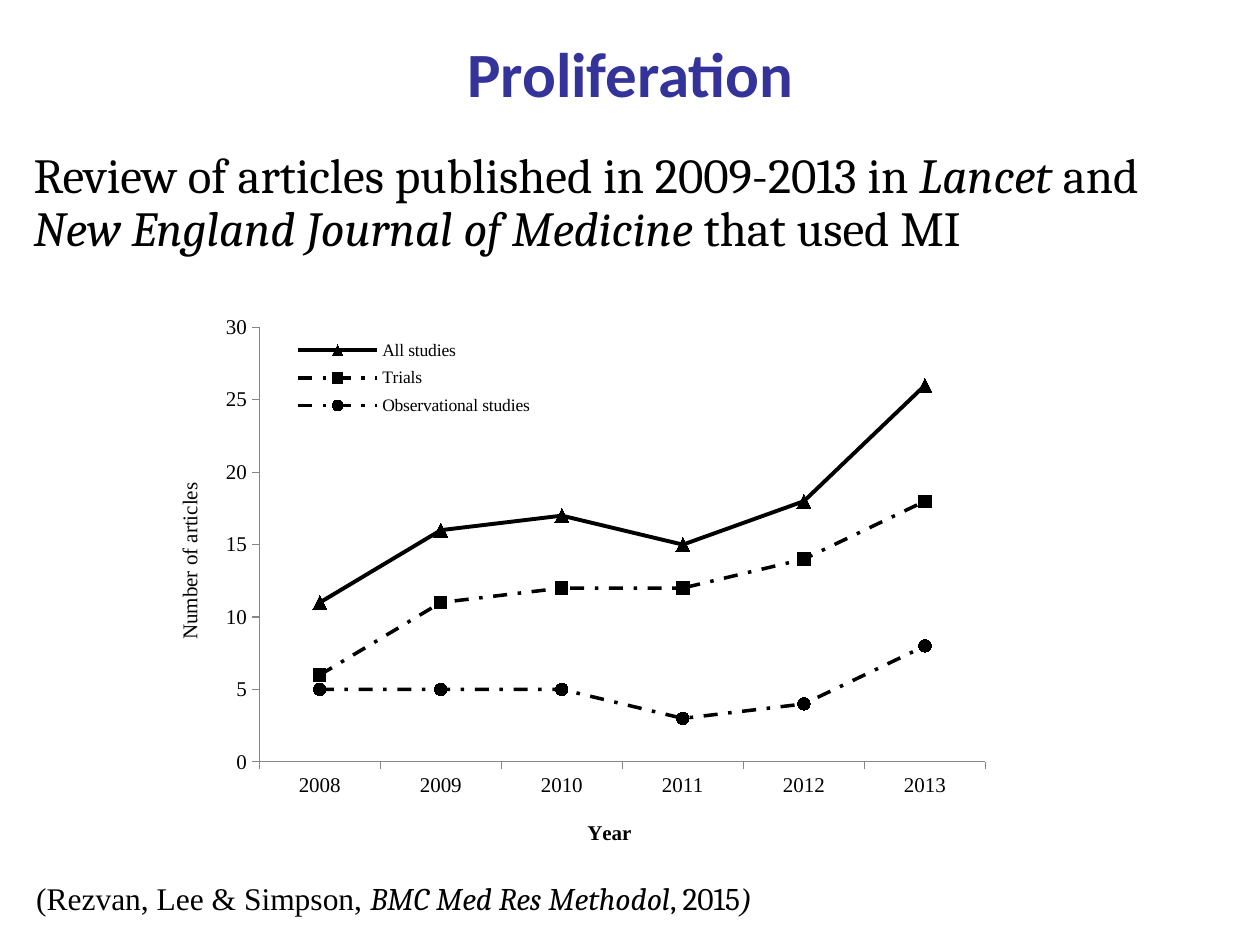
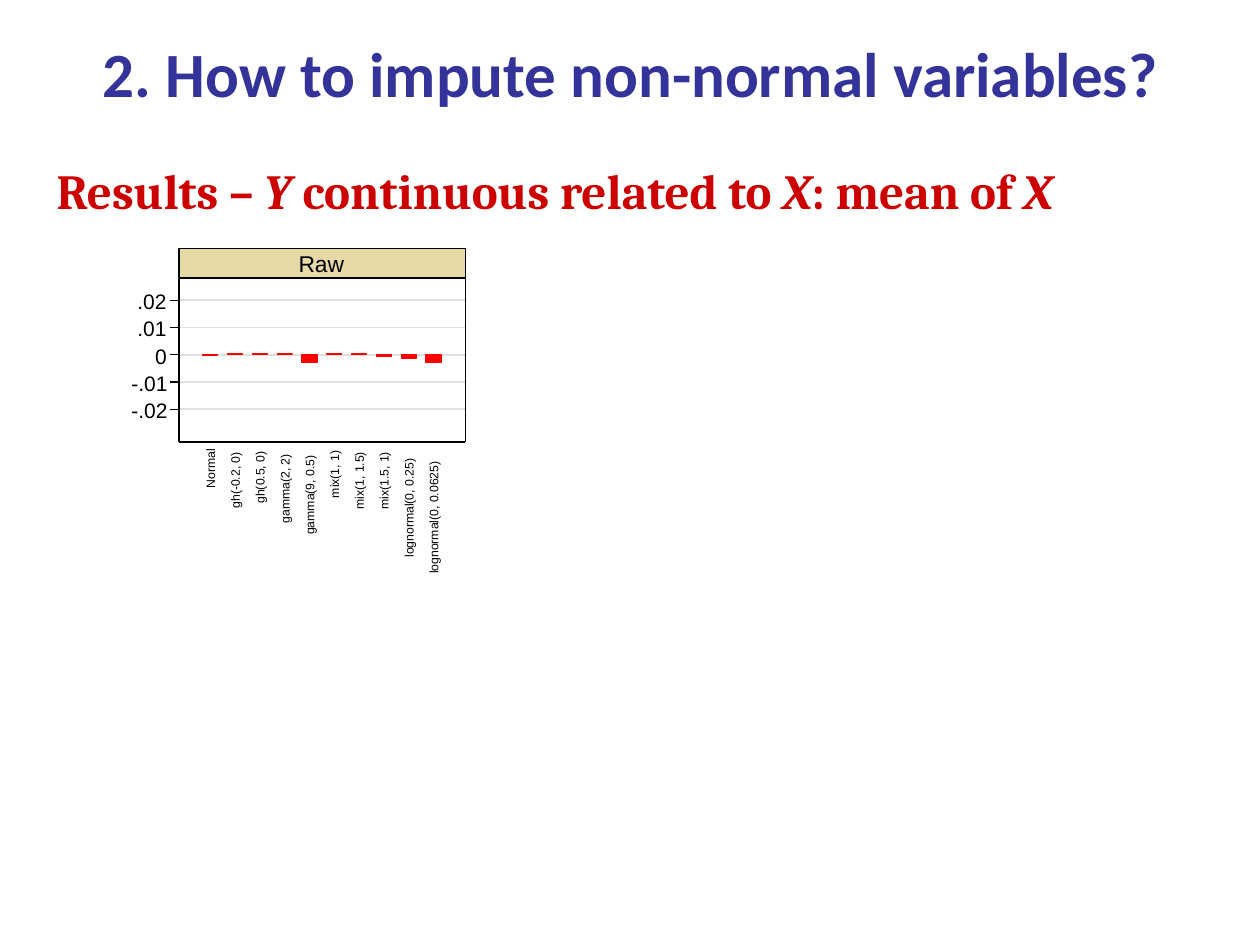
"""Build two slides on multiple imputation: its spread, and results for raw data."""
from lxml.etree import SubElement
from pptx import Presentation
from pptx.chart.data import CategoryChartData
from pptx.dml.color import RGBColor
from pptx.enum.chart import XL_CHART_TYPE as CHART, XL_LEGEND_POSITION as LEGEND
from pptx.enum.chart import XL_MARKER_STYLE as MARKER, XL_TICK_MARK as TICK
from pptx.enum.dml import MSO_LINE_DASH_STYLE as DASH
from pptx.enum.shapes import MSO_CONNECTOR as CONN, MSO_SHAPE as SHAPE
from pptx.enum.text import MSO_ANCHOR as ANCHOR, MSO_AUTO_SIZE as SIZE, PP_ALIGN as ALIGN
from pptx.oxml.ns import qn
from pptx.util import Cm, Pt

BLACK, TITLE, RED = "000000", "333399", "CC0000"
BAR, GRID, BAND, AXIS = "FF0000", "E0E0E0", "E5DAA5", "868686"
SERIF = "Times New Roman"

REVIEW = [("Review of articles published in 2009-2013 in ", False), ("Lancet ", True),
          ("and ", False), ("New England Journal of Medicine", True),
          (" that used MI", False)]
CITATION = [("(Rezvan, Lee & Simpson, ", False, SERIF), ("BMC Med Res Methodol", True),
            (", 2015", False), (")", True, SERIF)]
RESULTS = [("Results – ", False), ("Y", True), (" continuous related to ", False),
           ("X", True), (": mean of ", False), ("X", True)]

YEARS = ["2008", "2009", "2010", "2011", "2012", "2013"]
STUDIES = [
    ("All studies", (11, 16, 17, 15, 18, 26), MARKER.TRIANGLE, 8, 2.25, DASH.SOLID),
    ("Trials", (6, 11, 12, 12, 14, 18), MARKER.SQUARE, 7, 2, DASH.DASH_DOT),
    ("Observational studies", (5, 5, 5, 3, 4, 8), MARKER.CIRCLE, 7, 2, DASH.DASH_DOT),
]

# label, bias in thousandths, label length in cm
BIASES = [
    ("Normal", -0.3, 1.04), ("gh(-0.2, 0)", 0.3, 1.45), ("gh(0.5, 0)", 0.3, 1.35),
    ("gamma(2, 2)", 0.3, 1.75), ("gamma(9, 0.5)", -2.8, 1.98), ("mix(1, 1)", 0.5, 1.24),
    ("mix(1, 1.5)", 0.3, 1.47), ("mix(1.5, 1)", -0.6, 1.47),
    ("lognormal(0, 0.25)", -1.4, 2.44), ("lognormal(0, 0.0625)", -2.8, 2.77),
]
TICKS = [(-20, "-.02", 0.91), (-10, "-.01", 0.91), (0, "0", 0.43),
         (10, ".01", 0.79), (20, ".02", 0.79)]

LEFT, RIGHT, TOP, BOTTOM = 3.61, 9.38, 5.61, 8.91
ZERO, CM_PER_UNIT = 7.15, 0.055
FIRST_BAR, BAR_PITCH, BAR_WIDTH = 4.24, 0.5, 0.3
LABEL_TOP, LABEL_HEIGHT = 8.8, 0.38


def rgb(color):
    return RGBColor.from_string(color)


def style(font, size, name, color=BLACK, bold=False):
    font.size, font.name, font.bold = Pt(size), name, bold
    font.color.rgb = rgb(color)


def add_text(s, box, runs, size, name, color=BLACK, bold=False, wrap=True, inset=True):
    sp = s.shapes.add_textbox(*map(Cm, box))
    tf = sp.text_frame
    tf.word_wrap = wrap
    if not wrap:
        tf.auto_size = SIZE.SHAPE_TO_FIT_TEXT
    if not inset:
        tf.margin_left = tf.margin_right = tf.margin_top = tf.margin_bottom = 0
    p = tf.paragraphs[0]
    style(p.font, size, name, color, bold)
    for text, italic, *other in runs:
        r = p.add_run()
        r.text = text
        style(r.font, size, other[0] if other else name, color, bold)
        r.font.italic = italic
    return sp


def add_label(s, box, text, size):
    return add_text(s, box, [(text, False)], size, "Arial", wrap=False, inset=False)


def add_rect(s, box, fill=None, line=BLACK, width=0.63):
    sp = s.shapes.add_shape(SHAPE.RECTANGLE, *map(Cm, box))
    sp.shadow.inherit = False
    if fill:
        sp.fill.solid()
        sp.fill.fore_color.rgb = rgb(fill)
    else:
        sp.fill.background()
    sp.line.color.rgb = rgb(line)
    sp.line.width = Pt(width)


def add_line(s, x1, y1, x2, y2, color=BLACK, width=0.63):
    line = s.shapes.add_connector(CONN.STRAIGHT, *map(Cm, (x1, y1, x2, y2)))
    line.line.color.rgb = rgb(color)
    line.line.width = Pt(width)
    SubElement(line._element.spPr, qn("a:effectLst"))


def new_slide(prs, title):
    s = prs.slides.add_slide(prs.slide_layouts[6])
    sp = add_text(s, (0.43, 0.2, 24.56, 2.51), [(title, False)], 36, "Calibri", TITLE, True)
    sp.text_frame.vertical_anchor = ANCHOR.MIDDLE
    sp.text_frame.paragraphs[0].alignment = ALIGN.CENTER
    return s


def place(element, inner=False, **fractions):
    old = element.find(qn("c:layout"))
    if old is not None:
        element.remove(old)
    layout = SubElement(element, qn("c:layout"))
    manual = SubElement(layout, qn("c:manualLayout"))
    if inner:
        SubElement(manual, qn("c:layoutTarget")).set("val", "inner")
    for key in ("xMode", "yMode"):
        SubElement(manual, qn("c:" + key)).set("val", "edge")
    for key, value in fractions.items():
        SubElement(manual, qn("c:" + key)).set("val", str(value))
    overlay = element.find(qn("c:overlay"))
    element.insert(0 if overlay is None else element.index(overlay), layout)


def style_axis(axis, title, bold, x, y):
    axis.has_major_gridlines = False
    axis.major_tick_mark, axis.minor_tick_mark = TICK.OUTSIDE, TICK.NONE
    axis.format.line.color.rgb = rgb(AXIS)
    axis.format.line.width = Pt(0.75)
    style(axis.tick_labels.font, 12, SERIF)
    p = axis.axis_title.text_frame.paragraphs[0]
    r = p.add_run()
    r.text = title
    style(r.font, 12, SERIF, bold=bold)
    place(axis.axis_title._element, x=x, y=y)


def add_studies_chart(s, box):
    data = CategoryChartData()
    data.categories = YEARS
    for name, values, *_ in STUDIES:
        data.add_series(name, values)
    chart = s.shapes.add_chart(CHART.LINE_MARKERS, *map(Cm, box), data).chart
    chart.has_title = False
    style(chart.font, 10, "Cambria")
    style_axis(chart.category_axis, "Year", True, 0.47, 0.92)
    style_axis(chart.value_axis, "Number of articles", False, 0.01, 0.31)
    chart.value_axis.minimum_scale, chart.value_axis.maximum_scale = 0, 30
    chart.value_axis.major_unit = 5
    place(chart._chartSpace.chart.plotArea, True, x=0.107, y=0.036, w=0.813, h=0.787)

    chart.has_legend = True
    chart.legend.position = LEGEND.RIGHT
    chart.legend.include_in_layout = False
    style(chart.legend.font, 10, SERIF)
    place(chart.legend._element, x=0.14, y=0.045, w=0.28, h=0.165)

    chart.plots[0].vary_by_categories = False
    for series, (_, _, marker, size, width, dash) in zip(chart.plots[0].series, STUDIES):
        series.smooth = False
        line = series.format.line
        line.color.rgb = rgb(BLACK)
        line.width, line.dash_style = Pt(width), dash
        series.marker.style, series.marker.size = marker, size
        series.marker.format.fill.solid()
        series.marker.format.fill.fore_color.rgb = rgb(BLACK)
        series.marker.format.line.color.rgb = rgb(BLACK)


def add_bias_panel(s):
    width = RIGHT - LEFT
    add_rect(s, (LEFT, TOP, width, BOTTOM - TOP))
    for value, _, _ in TICKS:
        y = ZERO - value * CM_PER_UNIT
        add_line(s, LEFT, y, RIGHT, y, GRID, 1)
    for i, (_, bias, _) in enumerate(BIASES):
        x = FIRST_BAR + i * BAR_PITCH - BAR_WIDTH / 2
        height = abs(bias) * CM_PER_UNIT
        top = ZERO - max(bias, 0) * CM_PER_UNIT
        add_rect(s, (x, top, BAR_WIDTH, height), BAR, BAR, 0)

    add_line(s, LEFT, BOTTOM, LEFT, TOP)
    add_line(s, LEFT, BOTTOM, RIGHT, BOTTOM)
    for value, text, length in TICKS:
        y = ZERO - value * CM_PER_UNIT
        add_line(s, LEFT, y, LEFT - 0.18, y)
        add_label(s, (LEFT - 0.05 - length, y - 0.23, length, 0.56), text, 12)
    for i, (text, _, length) in enumerate(BIASES):
        x = FIRST_BAR + 0.04 + i * BAR_PITCH
        y = LABEL_TOP + length / 2
        box = (x - length / 2, y - LABEL_HEIGHT / 2, length, LABEL_HEIGHT)
        add_label(s, box, text, 7).rotation = 270

    add_rect(s, (LEFT, 5.01, width, 0.59), BAND)
    add_label(s, (6.02, 5.03, 1.19, 0.64), "Raw", 13)


def main():
    prs = Presentation()
    prs.slide_width, prs.slide_height = Cm(25.4), Cm(19.05)

    s = new_slide(prs, "Proliferation")
    sp = add_text(s, (0.43, 2.92, 24.56, 15.39), REVIEW, 28, "Cambria")
    sp.text_frame.paragraphs[0].line_spacing = 0.9
    add_text(s, (0.48, 17.6, 16.03, 1.02), CITATION, 18, "Cambria")
    add_studies_chart(s, (3.3, 6.2, 18.01, 11.13))

    s = new_slide(prs, "2. How to impute non-normal variables?")
    add_text(s, (0.89, 3.12, 21.41, 1.45), RESULTS, 28, "Cambria", RED, True, wrap=False)
    add_bias_panel(s)

    prs.save("out.pptx")


if __name__ == "__main__":
    main()
